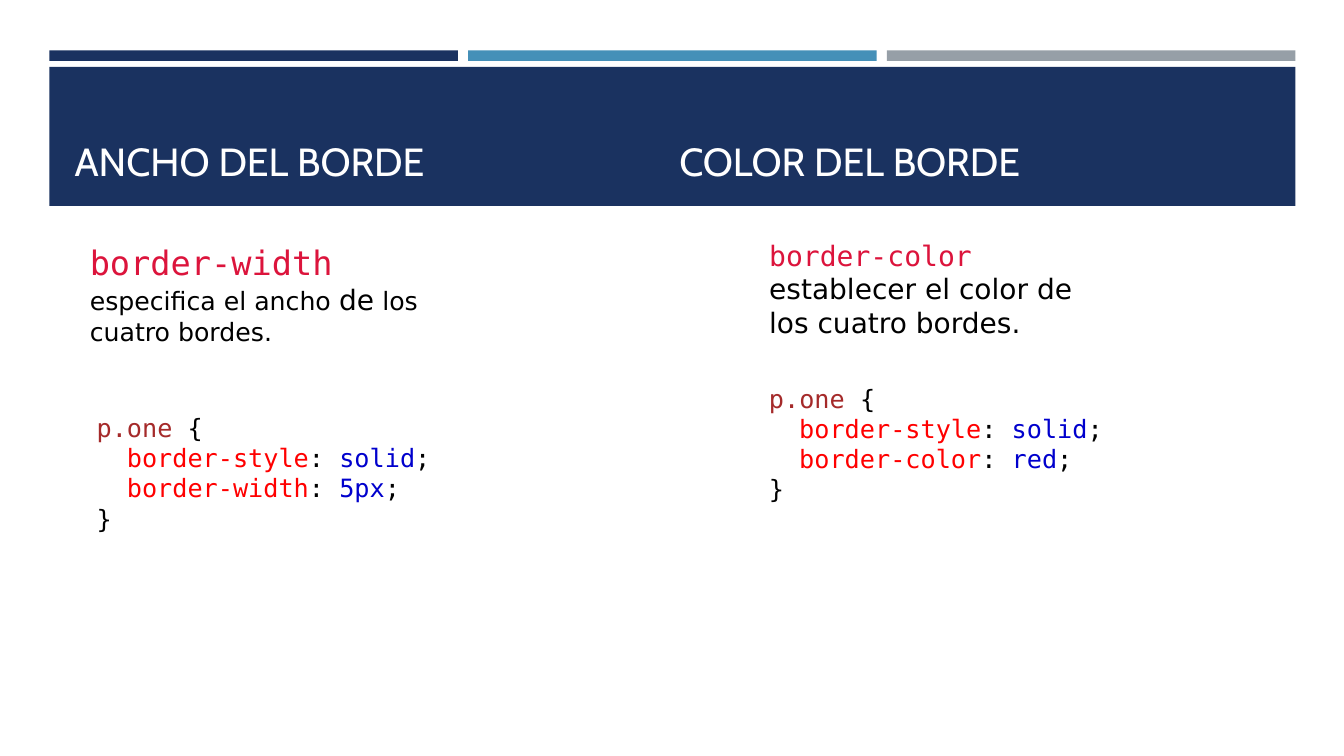
from lxml import etree
from pptx import Presentation
from pptx.dml.color import RGBColor
from pptx.enum.shapes import MSO_SHAPE
from pptx.enum.text import MSO_ANCHOR, MSO_AUTO_SIZE, PP_ALIGN
from pptx.oxml.ns import qn
from pptx.util import Inches, Pt

RECT = MSO_SHAPE.RECTANGLE
LEFT = PP_ALIGN.LEFT
MIDDLE, BOTTOM = MSO_ANCHOR.MIDDLE, MSO_ANCHOR.BOTTOM
FIXED = MSO_AUTO_SIZE.NONE
COL, ROW = Inches(13.33) / 100, Inches(7.5) / 100
SANS, MONO, HEAD = "DejaVu Sans", "DejaVu Sans Mono", "Cabin"
HUES = {
    "navy": "1A3260", "blue": "4590B8", "gray": "969FA7", "white": "FFFFFF",
    "black": "000000", "term": "DC143C", "rule": "A52A2A", "prop": "FF0000",
    "value": "0000CD",
}


def hue(name):
    """Return the named colour."""
    return RGBColor.from_string(HUES[name])


def grid(box):
    """Turn columns and rows into slide lengths."""
    return [int(n * unit) for n, unit in zip(box, (COL, ROW, COL, ROW))]


def place(shape, box):
    """Move a placeholder to a grid box."""
    shape.left, shape.top, shape.width, shape.height = grid(box)


def style(font, face, size, color):
    """Set face, size and colour of a font."""
    font.name, font.size = face, Pt(size)
    font.color.rgb = hue(color)


def add_bar(slide, layer, box, color):
    """Draw a plain bar behind the text at the given layer."""
    bar = slide.shapes.add_shape(RECT, *grid(box))
    bar.shadow.inherit = False
    bar.fill.solid()
    bar.fill.fore_color.rgb = hue(color)
    bar.line.fill.background()
    slide.shapes._spTree.insert(2 + layer, bar._element)


def add_head(slide, box, heads):
    """Draw the banner and the two headings joined by a tab stop."""
    left, top, width, height = box
    gap = 0.77
    span = (width - 2 * gap) / 3
    for i, color in enumerate(("navy", "blue", "gray")):
        add_bar(slide, i, (left + i * (span + gap), top, span, 1.4), color)
    add_bar(slide, 3, (left, top + 2.2, width, height - 2.2), "navy")
    title = slide.shapes.title
    place(title, (left + 1.12, top + 4, width - 2.24, 14.4))
    frame = title.text_frame
    frame.auto_size, frame.vertical_anchor = FIXED, BOTTOM
    para = frame.paragraphs[0]
    para.text = "\t".join(heads)
    para.alignment = LEFT
    style(para.font, HEAD, 28, "white")
    tabs = etree.SubElement(para._p.get_or_add_pPr(), qn("a:tabLst"))
    etree.SubElement(tabs, qn("a:tab"), pos=str(int(45 * COL)), algn="l")


def add_body(holder, box, parts):
    """Fill a body placeholder with a term and its meaning."""
    place(holder, box)
    holder.fill.solid()
    holder.fill.fore_color.rgb = hue("white")
    frame = holder.text_frame
    frame.auto_size, frame.vertical_anchor = FIXED, MIDDLE
    para = frame.paragraphs[0]
    para.space_before = Pt(0)
    props = para._p.get_or_add_pPr()
    props.set("marL", "0")
    props.set("indent", "0")
    etree.SubElement(props, qn("a:buNone"))
    for text, face, size, color in parts:
        run = para.add_run()
        run.text = text
        style(run.font, face, size, color)


def add_code(slide, box, pairs):
    """Write a style rule with one declaration a line."""
    frame = slide.shapes.add_textbox(*grid(box)).text_frame
    frame.word_wrap = True
    lines = [[("p.one ", "rule"), ("{", "black")]]
    for prop, value in pairs:
        lines.append([(prop, "prop"), (": ", "black"),
                      (value, "value"), (";", "black")])
    lines.append([("}", "black")])
    for i, line in enumerate(lines):
        para = frame.paragraphs[0] if i == 0 else frame.add_paragraph()
        para.font.name, para.font.size = MONO, Pt(18)
        if 0 < i < len(lines) - 1:
            para._p.get_or_add_pPr().set("marL", str(int(2.25 * COL)))
        for text, color in line:
            run = para.add_run()
            run.text = text
            run.font.color.rgb = hue(color)


def main():
    """Build and save the slide."""
    deck = Presentation()
    deck.slide_width, deck.slide_height = int(100 * COL), int(100 * ROW)
    slide = deck.slides.add_slide(deck.slide_layouts[3])
    add_head(slide, (3.68, 6.65, 92.7, 20.6),
             ("ANCHO DEL BORDE", "COLOR DEL BORDE"))
    add_body(slide.placeholders[1], (5.93, 31.33, 28.28, 15.2), (
        ("border-width", MONO, 24, "term"),
        (" especifica el ancho ", SANS, 18, "black"),
        ("de", SANS, 20, "black"),
        (" los cuatro bordes.", SANS, 18, "black")))
    add_body(slide.placeholders[2], (56.48, 30.8, 25.88, 14.8), (
        ("border-color", MONO, 20, "term"),
        (" establecer el color de los cuatro bordes.", SANS, 20, "black")))
    add_code(slide, (6.45, 53.87, 27.16, 17.5),
             (("border-style", "solid"), ("border-width", "5px")))
    add_code(slide, (56.48, 50, 33.38, 21.6),
             (("border-style", "solid"), ("border-color", "red")))
    deck.save("out.pptx")


if __name__ == "__main__":
    main()
